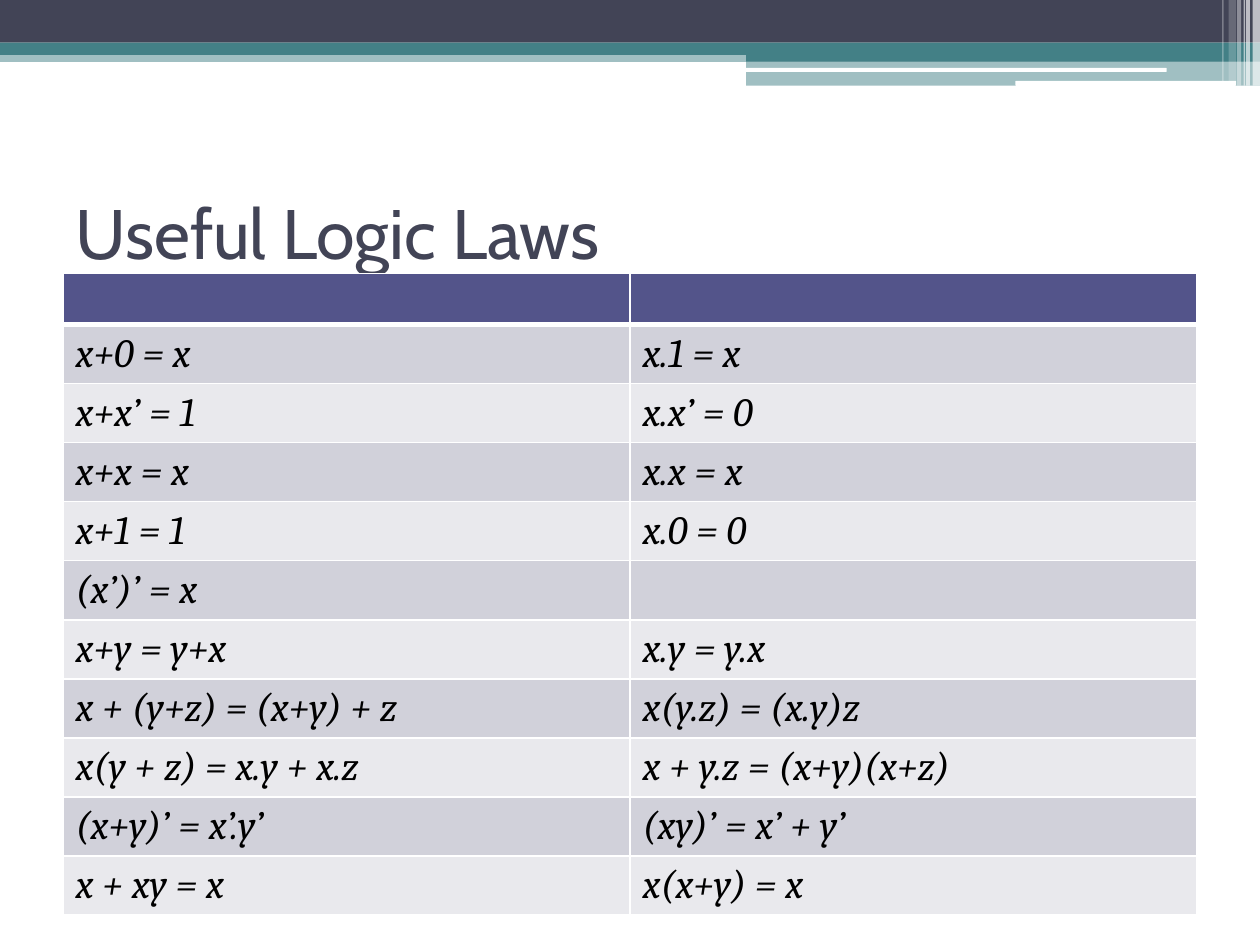
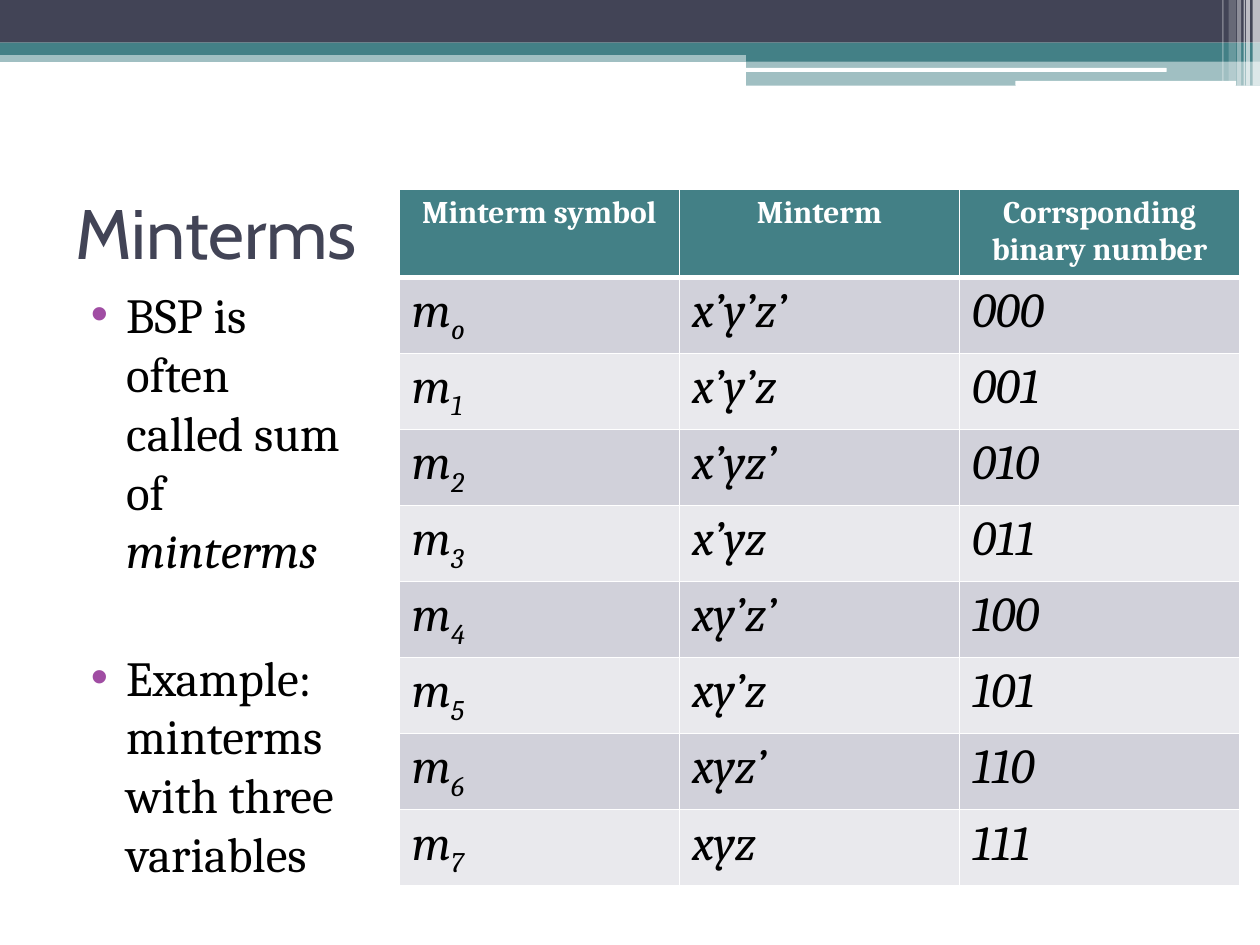
import pptx
import pptx.dml.color
import pptx.enum.shapes
import pptx.enum.text
import pptx.oxml
import pptx.oxml.ns
import pptx.util

Cm = pptx.util.Cm
Pt = pptx.util.Pt
Shape = pptx.enum.shapes.MSO_SHAPE
Align = pptx.enum.text.PP_ALIGN

SLATE, TEAL, INDIGO, PURPLE = "424456", "438086", "53548A", "A04DA3"
WHITE, BLACK = "FFFFFF", "000000"
ROW_FILLS = ("D1D1DA", "E9E9ED")
TITLE_FONT, TEXT_FONT = "Cabin", "Cambria"
TITLE_ONLY, TITLE_AND_CONTENT = 5, 1

# left, top, width, height in cm, colour, opacity in percent
BANDS = [
    (0, 1.02, 25.4, 0.23, TEAL, 50),
    (0, 0, 25.4, 0.86, SLATE, 100),
    (0, 0.86, 25.4, 0.25, TEAL, 100),
    (15.04, 0.99, 10.36, 0.25, TEAL, 100),
    (15.04, 1.22, 10.36, 0.51, TEAL, 50),
]
ROUNDED_BARS = [
    (15.01, 1.37, 8.51, 0.08, WHITE, 100),
    (20.47, 1.63, 4.45, 0.1, WHITE, 100),
]
# left, width, height in cm, opacity in percent
STRIPES = [
    (25.25, 0.15, 1.73, 65),
    (25.12, 0.08, 1.73, 65),
    (25.07, 0.03, 1.73, 60),
    (24.94, 0.08, 1.73, 40),
    (24.77, 0.15, 1.63, 20),
    (24.64, 0.03, 1.63, 30),
]

LAWS = [
    ("x+0 = x", "x.1 = x"),
    ("x+x’ = 1", "x.x’ = 0"),
    ("x+x = x", "x.x = x"),
    ("x+1 = 1", "x.0 = 0"),
    ("(x’)’ = x", ""),
    ("x+y = y+x", "x.y = y.x"),
    ("x + (y+z) = (x+y) + z", "x(y.z) = (x.y)z"),
    ("x(y + z) = x.y + x.z", "x + y.z = (x+y)(x+z)"),
    ("(x+y)’ = x’.y’", "(xy)’ = x’ + y’"),
    ("x + xy = x", "x(x+y) = x"),
]


def rgb(colour):
    return pptx.dml.color.RGBColor.from_string(colour)


def add_element(parent, tag, **attributes):
    child = pptx.oxml.parse_xml(f"<{tag} {pptx.oxml.ns.nsdecls('a')}/>")
    for name, value in attributes.items():
        child.set(name, str(value))
    parent.append(child)
    return child


def add_solid_fill(parent, colour):
    add_element(add_element(parent, "a:solidFill"), "a:srgbClr", val=colour)


def minterm_rows():
    """Give symbol, product and binary number for three variables."""
    for number in range(8):
        bits = f"{number:03b}"
        product = "".join(
            name if bit == "1" else name + "’" for name, bit in zip("xyz", bits)
        )
        yield f"m_{number or 'o'}", product, bits


class Lecture:
    def __init__(self):
        self.deck = pptx.Presentation()
        self.deck.slide_width, self.deck.slide_height = Cm(25.4), Cm(19.05)
        self.page = None

    def new_page(self, title, layout):
        self.page = self.deck.slides.add_slide(self.deck.slide_layouts[layout])
        for band in BANDS:
            self.bar(Shape.RECTANGLE, *band)
        for band in ROUNDED_BARS:
            self.bar(Shape.ROUNDED_RECTANGLE, *band)
        for left, width, height, opacity in STRIPES:
            self.bar(Shape.RECTANGLE, left, 0, width, height, WHITE, opacity)
        frame = self.place(self.page.shapes.title, 1.27, 3.18, 22.86, 2.97)
        frame.vertical_anchor = pptx.enum.text.MSO_ANCHOR.MIDDLE
        para = frame.paragraphs[0]
        para.text = title
        para.alignment = Align.LEFT
        self.style(para, 40, SLATE, TITLE_FONT)

    def bar(self, kind, left, top, width, height, colour, opacity):
        box = self.page.shapes.add_shape(
            kind, Cm(left), Cm(top), Cm(width), Cm(height)
        )
        box.shadow.inherit = False
        box.line.fill.background()
        box.fill.solid()
        box.fill.fore_color.rgb = rgb(colour)
        if opacity < 100:
            tint = box.fill._xPr.find(".//" + pptx.oxml.ns.qn("a:srgbClr"))
            add_element(tint, "a:alpha", val=opacity * 1000)

    def place(self, box, left, top, width, height):
        box.left, box.top = Cm(left), Cm(top)
        box.width, box.height = Cm(width), Cm(height)
        frame = box.text_frame
        frame.word_wrap = True
        frame.auto_size = pptx.enum.text.MSO_AUTO_SIZE.NONE
        return frame

    def style(self, para, size, colour, font=TEXT_FONT, bold=False, italic=False):
        for span in para.runs:
            span.font.name, span.font.size = font, Pt(size)
            span.font.color.rgb = rgb(colour)
            span.font.bold, span.font.italic = bold, italic

    def bullets(self, items, left, top, width, height, size, gap):
        """Each item is a plain text and an italic ending."""
        frame = self.place(self.page.placeholders[1], left, top, width, height)
        for index, (text, ending) in enumerate(items):
            para = frame.add_paragraph() if index else frame.paragraphs[0]
            para.text = text
            para.space_before = Pt(gap if index else 0)
            properties = para._p.get_or_add_pPr()
            properties.set("marL", str(Cm(1.02)))
            properties.set("indent", str(Cm(-0.71)))
            colour = add_element(properties, "a:buClr")
            add_element(colour, "a:srgbClr", val=PURPLE)
            add_element(properties, "a:buChar", char="•")
            if ending:
                para.add_run().text = ending
            self.style(para, size, BLACK)
            if ending:
                para.runs[-1].font.italic = True

    def cell(self, cell, text, fill, size, row):
        """Fill one cell; an underscore in a body row starts a subscript."""
        properties = cell._tc.get_or_add_tcPr()
        heavy = {0: "B", 1: "T"}.get(row)
        for side in "LRTB":
            width = Pt(3 if side == heavy else 1)
            add_solid_fill(add_element(properties, f"a:ln{side}", w=width), WHITE)
        cell.fill.solid()
        cell.fill.fore_color.rgb = rgb(fill)
        if not text:
            return
        para = cell.text_frame.paragraphs[0]
        base, _, subscript = text.partition("_")
        para.text = base
        if subscript:
            span = para.add_run()
            span.text = subscript
            span._r.get_or_add_rPr().set("baseline", "-25000")
        if row == 0:
            para.alignment = Align.CENTER
            self.style(para, 18, WHITE, bold=True)
        else:
            self.style(para, size, BLACK, italic=True)

    def table(self, rows, left, top, width, head_fill, head_height, row_height, size):
        height = head_height + row_height * (len(rows) - 1)
        table = self.page.shapes.add_table(
            len(rows), len(rows[0]), Cm(left), Cm(top), Cm(width), Cm(height)
        ).table
        for row, texts in enumerate(rows):
            table.rows[row].height = Cm(row_height if row else head_height)
            fill = ROW_FILLS[(row - 1) % 2] if row else head_fill
            for column, text in enumerate(texts):
                self.cell(table.cell(row, column), text, fill, size, row)


def main():
    lecture = Lecture()

    lecture.new_page("Useful Logic Laws", TITLE_ONLY)
    lecture.table([("", "")] + LAWS, 1.27, 5.51, 22.86, INDIGO, 1.0, 1.19, 23)

    lecture.new_page("Minterms", TITLE_AND_CONTENT)
    lecture.bullets(
        [
            ("BSP is often called sum of ", "minterms"),
            ("Example: minterms with three variables", ""),
        ],
        1.27, 5.61, 6.15, 12.5, size=28, gap=39,
    )
    heads = ("Minterm symbol", "Minterm", "Corrsponding binary number")
    lecture.table(
        [heads, *minterm_rows()], 8.05, 3.81, 16.94, TEAL, 1.78, 1.53, 28
    )

    lecture.deck.save("out.pptx")


if __name__ == "__main__":
    main()
